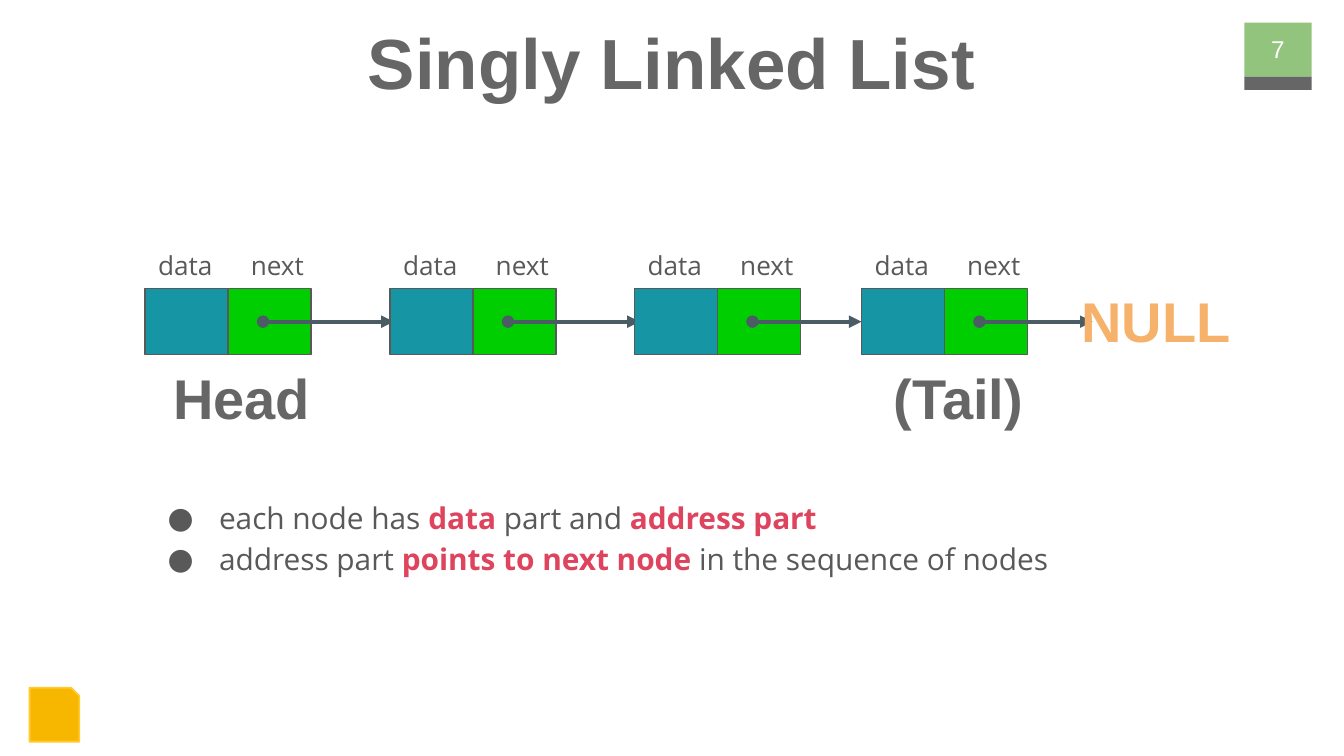
"""Build the slide that explains a singly linked list."""
from dataclasses import dataclass
from typing import Optional

from lxml import etree
from pptx import Presentation
from pptx.dml.color import RGBColor
from pptx.enum import shapes, text
from pptx.oxml.ns import qn
from pptx import util as u


@dataclass(frozen=True)
class Theme:
    heading_font: str = "Arial"
    body_font: str = "Open Sans"
    grey: str = "666666"
    ink: str = "595959"
    accent: str = "DE445E"
    orange: str = "F6B26B"
    white: str = "FFFFFF"
    data_fill: str = "1695A4"
    next_fill: str = "00CE00"
    arrow: str = "4C5C64"
    badge: str = "93C47D"
    icon: str = "F7B600"
    icon_edge: str = "FFC92F"
    title_size: int = 38
    caption_size: int = 30
    bullet_size: int = 16
    label_size: int = 14
    number_size: int = 13


@dataclass(frozen=True)
class Area:
    left: float
    top: float
    width: float
    height: float

    def lengths(self) -> tuple:
        return tuple(u.Cm(n) for n in (self.left, self.top, self.width, self.height))


@dataclass(frozen=True)
class Node:
    left: float
    tip: float


@dataclass(frozen=True)
class Caption:
    words: str
    area: Area
    colour: str
    size: int
    bold: bool = True


THEME = Theme()
CELL_TOP, CELL_WIDTH, CELL_HEIGHT = 5.46, 1.57, 1.24
LABEL_TOP, LABEL_WIDTH, LABEL_HEIGHT = 4.37, 1.75, 1.09
ARROW_OFFSET = 2.23
NODES = (Node(2.74, 7.44), Node(7.37, 12.09), Node(11.99, 16.28), Node(16.28, 20.65))
CAPTIONS = (
    Caption("7", Area(23.39, 0.38, 1.52, 1.09), THEME.white, THEME.number_size, False),
    Caption("Head", Area(2.74, 7.04, 3.66, 0.94), THEME.grey, THEME.caption_size),
    Caption("(Tail)", Area(16.28, 7.04, 3.66, 0.94), THEME.grey, THEME.caption_size),
    Caption("NULL", Area(20.02, 5.59, 3.66, 0.94), THEME.orange, THEME.caption_size),
)
BULLETS = (
    (("each node has ", False), ("data", True), (" part and ", False), ("address part", True)),
    (("address part ", False), ("points to next node", True),
     (" in the sequence of nodes", False)),
)


def rgb(colour: str) -> RGBColor:
    return RGBColor.from_string(colour)


def style(font, name: str, size: float, colour: str, bold: bool = False) -> None:
    font.name, font.size, font.bold = name, u.Pt(size), bold
    font.color.rgb = rgb(colour)


def place(shape, area: Area) -> None:
    shape.left, shape.top, shape.width, shape.height = area.lengths()


def set_frame(frame, anchor) -> None:
    frame.word_wrap = True
    frame.auto_size = text.MSO_AUTO_SIZE.NONE
    frame.vertical_anchor = anchor
    frame.margin_left = frame.margin_right = u.Cm(0.25)
    frame.margin_top = frame.margin_bottom = u.Cm(0.25)


def add_block(page, area: Area, fill: str, edge: Optional[str] = None, weight: float = 0.75,
              kind=shapes.MSO_SHAPE.RECTANGLE):
    block = page.shapes.add_shape(kind, *area.lengths())
    block.shadow.inherit = False
    block.fill.solid()
    block.fill.fore_color.rgb = rgb(fill)
    if edge:
        block.line.color.rgb = rgb(edge)
        block.line.width = u.Pt(weight)
    else:
        block.line.fill.background()
    return block


def add_text(page, area: Area, words: str, anchor):
    box = page.shapes.add_textbox(*area.lengths())
    set_frame(box.text_frame, anchor)
    para = box.text_frame.paragraphs[0]
    para.text = words
    return para


def add_caption(page, caption: Caption) -> None:
    para = add_text(page, caption.area, caption.words, text.MSO_ANCHOR.MIDDLE)
    para.alignment = text.PP_ALIGN.CENTER
    style(para.font, THEME.heading_font, caption.size, caption.colour, caption.bold)


def add_label(page, left: float, words: str) -> None:
    area = Area(left, LABEL_TOP, LABEL_WIDTH, LABEL_HEIGHT)
    para = add_text(page, area, words, text.MSO_ANCHOR.TOP)
    para.line_spacing, para.space_after = 1.15, u.Pt(16)
    style(para.font, THEME.body_font, THEME.label_size, THEME.ink)


def add_arrow(page, start: float, tip: float):
    middle = u.Cm(CELL_TOP + CELL_HEIGHT / 2)
    arrow = page.shapes.add_connector(
        shapes.MSO_CONNECTOR.STRAIGHT, u.Cm(start), middle, u.Cm(tip), middle)
    arrow.line.color.rgb = rgb(THEME.arrow)
    arrow.line.width = u.Pt(2.25)
    line = arrow.line._get_or_add_ln()
    etree.SubElement(line, qn("a:headEnd"), type="oval")
    etree.SubElement(line, qn("a:tailEnd"), type="triangle")
    etree.SubElement(arrow._element.spPr, qn("a:effectLst"))
    return arrow


def add_node(page, node: Node) -> tuple:
    cells = []
    for index, (words, fill) in enumerate((("data", THEME.data_fill), ("next", THEME.next_fill))):
        area = Area(node.left + index * CELL_WIDTH, CELL_TOP, CELL_WIDTH, CELL_HEIGHT)
        cells.append(add_block(page, area, fill, THEME.ink))
        add_label(page, node.left + index * LABEL_WIDTH, words)
    return cells[0], add_arrow(page, node.left + ARROW_OFFSET, node.tip)


def add_chain(page) -> None:
    drawn = [add_node(page, node) for node in NODES]
    for index, (node, following) in enumerate(zip(NODES, NODES[1:])):
        if node.tip == following.left:
            drawn[index][1].end_connect(drawn[index + 1][0], 1)


def fill_title(title) -> None:
    place(title, Area(0.86, 0.1, 23.67, 1.6))
    set_frame(title.text_frame, text.MSO_ANCHOR.TOP)
    para = title.text_frame.paragraphs[0]
    para.text = "Singly Linked List"
    para.alignment = text.PP_ALIGN.CENTER
    style(para.font, THEME.heading_font, THEME.title_size, THEME.grey, True)


def add_bullet(para) -> None:
    properties = para._p.get_or_add_pPr()
    properties.set("marL", str(u.Cm(1.27)))
    properties.set("indent", str(-u.Cm(0.97)))
    colour = etree.SubElement(properties, qn("a:buClr"))
    etree.SubElement(colour, qn("a:srgbClr"), val=THEME.ink)
    etree.SubElement(properties, qn("a:buFont"), typeface=THEME.body_font)
    etree.SubElement(properties, qn("a:buChar"), char="●")


def fill_body(body) -> None:
    place(body, Area(2.62, 9.09, 20.78, 4.06))
    frame = body.text_frame
    set_frame(frame, text.MSO_ANCHOR.TOP)
    for index, spans in enumerate(BULLETS):
        para = frame.add_paragraph() if index else frame.paragraphs[0]
        add_bullet(para)
        para.line_spacing, para.space_before = 1.15, u.Pt(0)
        style(para.font, THEME.body_font, THEME.bullet_size, THEME.ink)
        for words, strong in spans:
            span = para.add_run()
            span.text = words
            span.font.bold = strong
            span.font.color.rgb = rgb(THEME.accent if strong else THEME.ink)


def main() -> None:
    deck = Presentation()
    deck.slide_width, deck.slide_height = u.Cm(25.4), u.Cm(14.29)
    page = deck.slides.add_slide(deck.slide_layouts[1])
    fill_title(page.shapes.title)
    fill_body(page.placeholders[1])
    add_block(page, Area(23.52, 0.43, 1.27, 1.02), THEME.badge)
    add_block(page, Area(23.52, 1.45, 1.27, 0.25), THEME.grey)
    add_block(page, Area(0.56, 13, 0.94, 1.02), THEME.icon, THEME.icon_edge, 1,
              shapes.MSO_SHAPE.SNIP_1_RECTANGLE)
    add_chain(page)
    for caption in CAPTIONS:
        add_caption(page, caption)
    deck.save("out.pptx")


if __name__ == "__main__":
    main()
